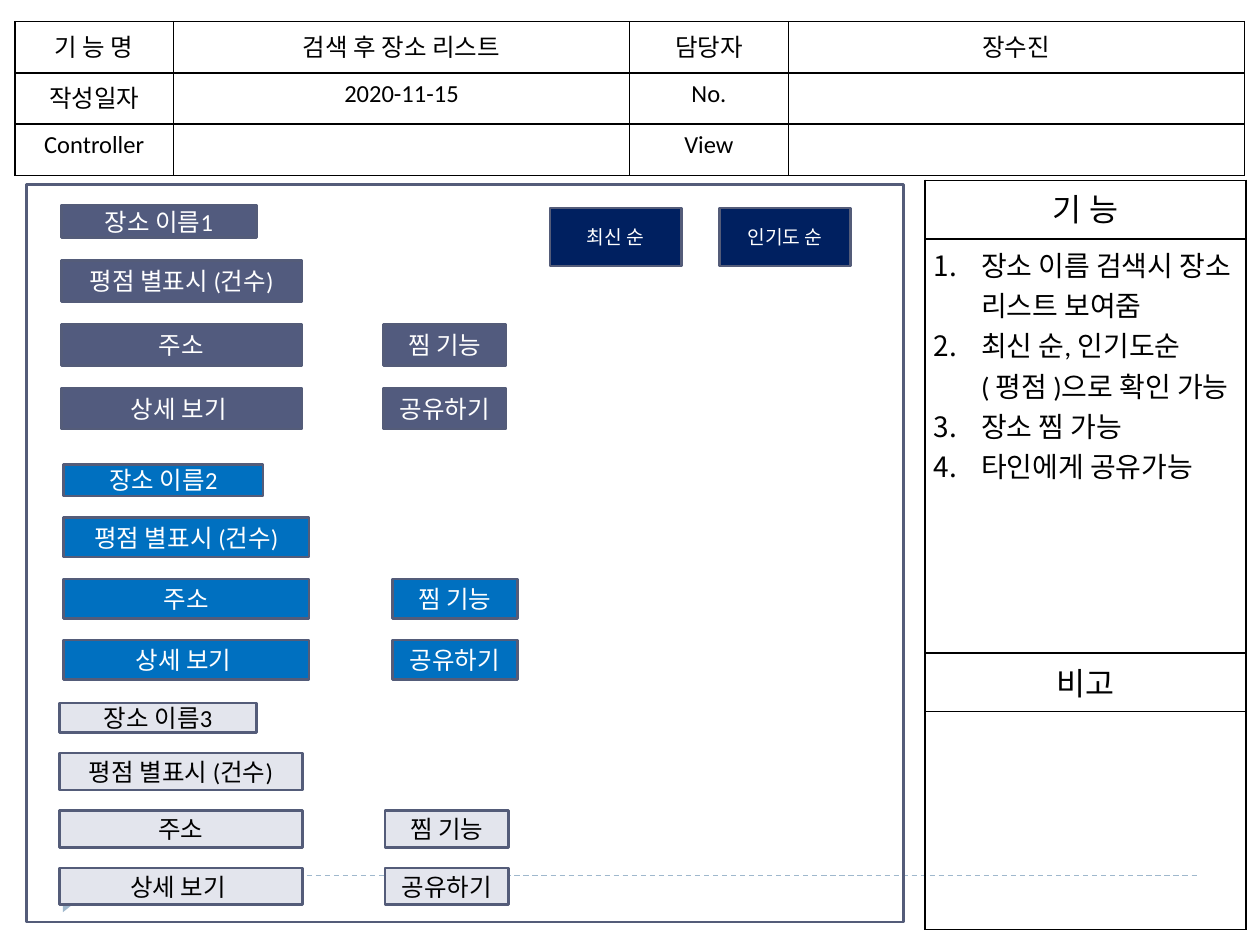
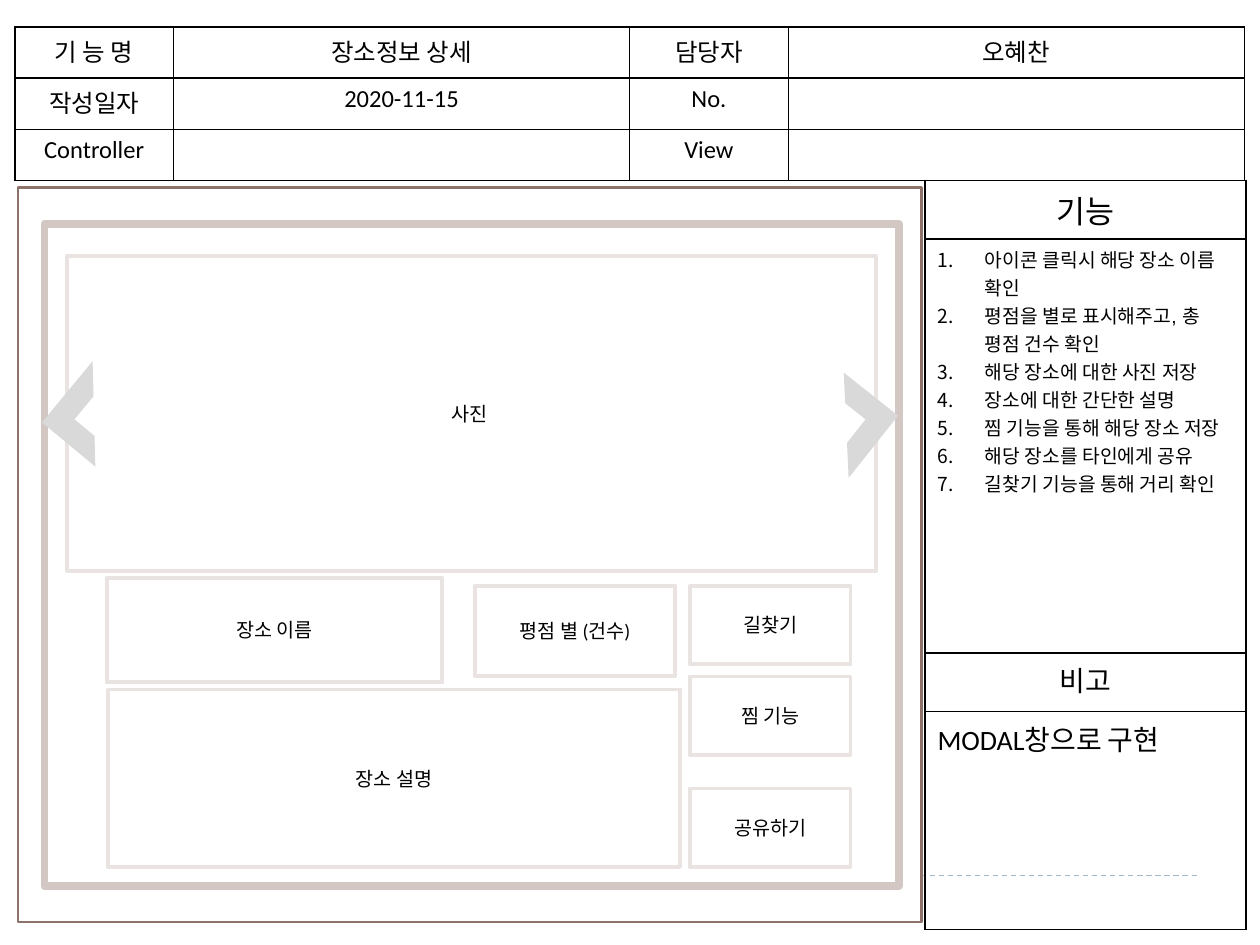
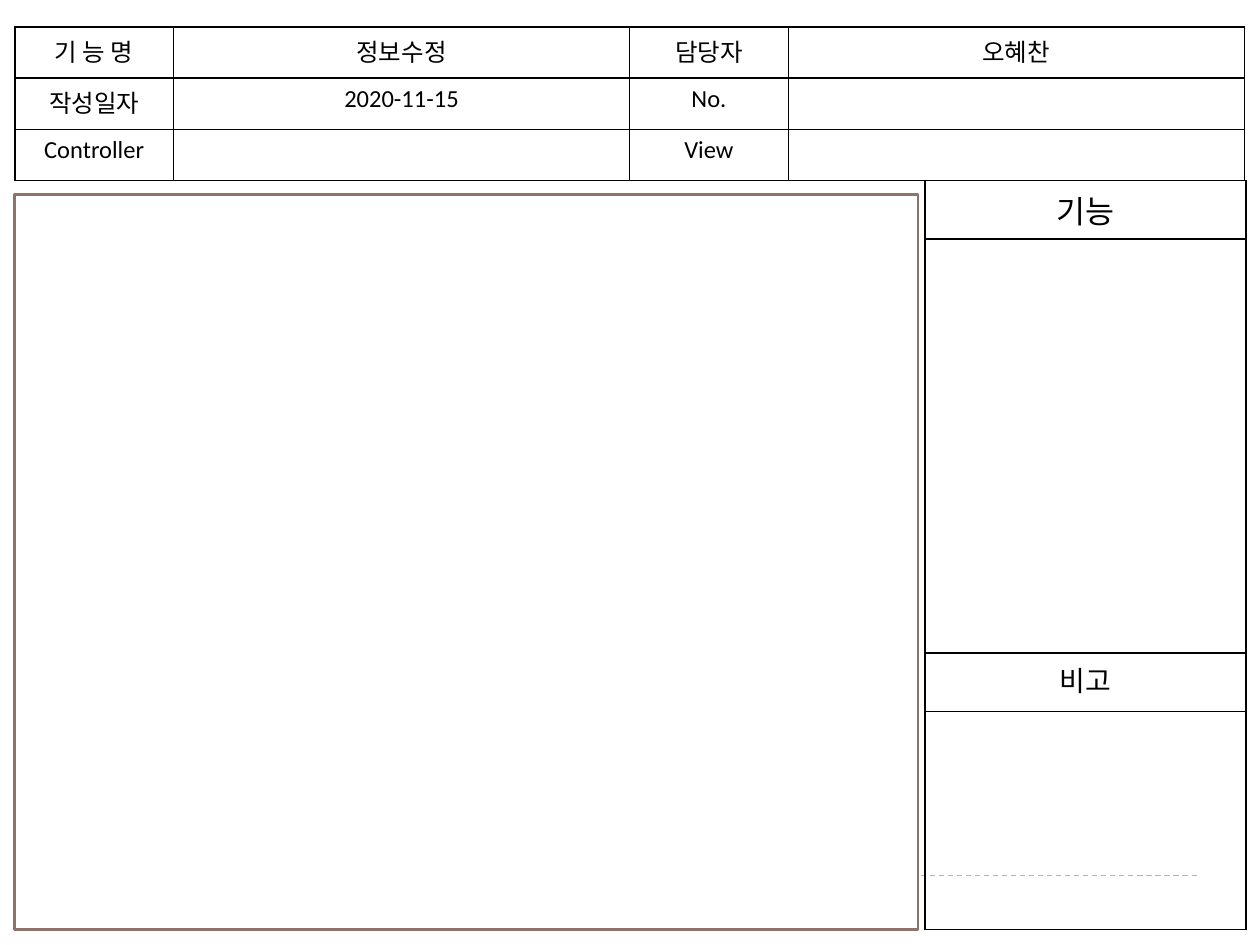
from pptx import Presentation
from pptx.dml.color import RGBColor
from pptx.enum import dml, shapes, text
from pptx.oxml import parse_xml
from pptx.oxml.ns import nsdecls
from pptx.util import Pt

COLORS = {
    "black": "000000", "white": "FFFFFF", "guide": "9FB8CD",
    "slate": "525B7E", "slate_line": "545C79", "blue": "0070C0",
    "pale": "E3E5ED", "navy": "002060", "brown": "8E736A",
    "modal": "D2C7C3", "box": "E9E3E1", "arrow": "D9D9D9",
}
RECTANGLE = shapes.MSO_SHAPE.RECTANGLE
HEADER_COLUMNS = (90.7, 260.6, 90.7, 260.6)
HEADER_ROWS = (29.3,) * 3
SIDE_ROWS = (33.5, 236.7, 33.4, 124.5)


def rgb(name):
    return RGBColor.from_string(COLORS[name])


def write(frame, *lines, size=14, color="black", font="Calibri", center=True, numbered=False):
    """Write one paragraph per line, optionally as a numbered list."""
    for index, line in enumerate(lines):
        paragraph = frame.add_paragraph() if index else frame.paragraphs[0]
        paragraph.alignment = text.PP_ALIGN.CENTER if center else text.PP_ALIGN.LEFT
        if numbered:
            properties = paragraph._p.get_or_add_pPr()
            properties.set("marL", str(Pt(27)))
            properties.set("indent", str(-Pt(27)))
            properties.append(parse_xml(f'<a:buAutoNum {nsdecls("a")} type="arabicPeriod"/>'))
        run = paragraph.add_run()
        run.text = line
        run.font.size = Pt(size)
        run.font.name = font
        run.font.bold = False
        run.font.color.rgb = rgb(color)


def add_box(slide, left, top, width, height, label="", fill=None, line=None, weight=1.5,
            kind=RECTANGLE, rotation=0, **text_format):
    shape = slide.shapes.add_shape(kind, Pt(left), Pt(top), Pt(width), Pt(height))
    shape.shadow.inherit = False
    shape.rotation = rotation
    if fill:
        shape.fill.solid()
        shape.fill.fore_color.rgb = rgb(fill)
    else:
        shape.fill.background()
    if line:
        shape.line.color.rgb = rgb(line)
        shape.line.width = Pt(weight)
    else:
        shape.line.fill.background()
    if label:
        shape.text_frame.vertical_anchor = text.MSO_ANCHOR.MIDDLE
        write(shape.text_frame, label, **text_format)


def add_guide(slide):
    """Dashed footer line behind the content."""
    guide = slide.shapes.add_connector(
        shapes.MSO_CONNECTOR.STRAIGHT, Pt(36), Pt(500.4), Pt(684), Pt(500.4))
    guide.line.color.rgb = rgb("guide")
    guide.line.width = Pt(0.75)
    guide.line.dash_style = dml.MSO_LINE.DASH
    guide._element.spPr.append(parse_xml(f'<a:effectLst {nsdecls("a")}/>'))


def add_grid(slide, left, top, columns, rows):
    """Plain table with thin black borders and no fill."""
    table = slide.shapes.add_table(
        len(rows), len(columns), Pt(left), Pt(top), Pt(sum(columns)), Pt(sum(rows))).table
    table.first_row = table.horz_banding = False
    for column, width in zip(table.columns, columns):
        column.width = Pt(width)
    for row, height in zip(table.rows, rows):
        row.height = Pt(height)
    for cell in table.iter_cells():
        properties = cell._tc.get_or_add_tcPr()
        for side in "LRTB":
            properties.append(parse_xml(
                f'<a:ln{side} {nsdecls("a")} w="{Pt(1)}"><a:solidFill>'
                f'<a:srgbClr val="{COLORS["black"]}"/></a:solidFill></a:ln{side}>'))
        cell.fill.background()
    return table


def add_header(slide, feature, author, top=15.3):
    table = add_grid(slide, 8.5, top, HEADER_COLUMNS, HEADER_ROWS)
    values = ("기 능 명", feature, "담당자", author,
              "작성일자", "2020-11-15", "No.", "",
              "Controller", "", "View", "")
    for cell, value in zip(table.iter_cells(), values):
        if value:
            write(cell.text_frame, value)


def add_side_panel(slide, title="기능", features=(), note="", note_title_size=16,
                   size=11, font="Arial", margins=None):
    table = add_grid(slide, 528.6, 103, (183.4,), SIDE_ROWS)
    title_cell, feature_cell, note_title_cell, note_cell = table.iter_cells()
    if margins:
        for cell in (title_cell, feature_cell):
            cell.margin_left = cell.margin_right = Pt(margins[0])
            cell.margin_top = cell.margin_bottom = Pt(margins[1])
    write(title_cell.text_frame, title, size=18)
    write(feature_cell.text_frame, *features, size=size, font=font, center=False, numbered=True)
    write(note_title_cell.text_frame, "비고", size=note_title_size)
    if note:
        write(note_cell.text_frame, note, size=16, center=False)


def add_place_card(slide, number, left, top, scale_x, scale_y, fill, color):
    """Place entry: name, rating, and two rows with a button each."""
    items = (
        (f"장소 이름{number}", 0, 0, 111.6, 18.7),
        ("평점 별표시 (건수)", 0, 31.7, 137.5, 23.4),
        ("주소", 0, 68.2, 137.5, 23.4),
        ("상세 보기 ", 0, 104.6, 137.5, 23.4),
        ("찜 기능", 184.2, 68.2, 70, 23.4),
        ("공유하기", 184.2, 104.6, 70, 23.4),
    )
    for label, x, y, width, height in items:
        add_box(slide, left + x * scale_x, top + y * scale_y, width * scale_x, height * scale_y,
                label, fill, "slate_line", color=color)


def build_list_slide(slide):
    add_guide(slide)
    add_box(slide, 33.1, 509, 15.1, 9.4, fill="guide", rotation=90,
            kind=shapes.MSO_SHAPE.ISOSCELES_TRIANGLE)
    add_header(slide, "검색 후 장소 리스트", "장수진", top=12.4)
    add_side_panel(slide, "기 능", (
        "장소 이름 검색시 장소 리스트 보여줌",
        "최신 순, 인기도순 ( 평점 )으로 확인 가능",
        "장소 찜 가능",
        "타인에게 공유가능",
    ), note_title_size=18, size=16, font="Calibri", margins=(5, 2.9))
    add_box(slide, 15.1, 105.6, 501.2, 421.2, line="slate_line")
    # Sort buttons
    for label, left in (("최신 순", 314.4), ("인기도 순", 411.1)):
        add_box(slide, left, 118.9, 75, 33.1, label, "navy", "slate_line", size=11, color="white")
    # Search results
    add_place_card(slide, 1, 35, 117.2, 1, 1, "slate", "white")
    add_place_card(slide, 2, 36.4, 265.4, 1.02, 0.96, "blue", "white")
    add_place_card(slide, 3, 34, 401.8, 1.01, 0.9, "pale", "black")


def build_detail_slide(slide):
    add_guide(slide)
    add_header(slide, "장소정보 상세", "오혜찬")
    add_side_panel(slide, features=(
        "아이콘 클릭시 해당 장소 이름 확인",
        "평점을 별로 표시해주고, 총 평점 건수 확인",
        "해당 장소에 대한 사진 저장",
        "장소에 대한 간단한 설명",
        "찜 기능을 통해 해당 장소 저장",
        "해당 장소를 타인에게 공유",
        "길찾기 기능을 통해 거리 확인",
    ), note="MODAL창으로 구현")
    # Window and modal frames
    add_box(slide, 10.3, 107, 516.2, 419.8, fill="white", line="brown")
    add_box(slide, 25.4, 128, 488.2, 378.3, line="modal", weight=4.5)
    # Modal content
    for label, left, top, width, height in (
        ("장소 이름", 61, 330.2, 191.8, 59.8),
        ("평점 별 (건수)", 271.4, 334.7, 114.5, 51.5),
        ("사진 ", 38.2, 146.3, 462.6, 180),
        ("찜 기능", 394.2, 386.6, 91.8, 44.8),
        ("공유하기", 394.2, 450.6, 91.8, 44.8),
        ("길찾기", 394.2, 334.8, 91.8, 44.8),
        ("장소 설명", 61.7, 394, 326.9, 101.4),
    ):
        add_box(slide, left, top, width, height, label, line="box", weight=2.25, size=11.2)
    # Photo arrows
    for left, top, rotation in ((31, 216.7, 309.6), (460.8, 223.2, 128.4)):
        add_box(slide, left, top, 45.4, 39.6, fill="arrow", rotation=rotation,
                kind=shapes.MSO_SHAPE.HALF_FRAME)


def build_edit_slide(slide):
    add_guide(slide)
    add_header(slide, "정보수정", "오혜찬")
    add_side_panel(slide)
    add_box(slide, 8.4, 111.3, 516.2, 419.8, fill="white", line="brown")


def main():
    presentation = Presentation()
    presentation.slide_width = Pt(720)
    presentation.slide_height = Pt(540)
    blank_layout = presentation.slide_layouts[6]
    for build in (build_list_slide, build_detail_slide, build_edit_slide):
        build(presentation.slides.add_slide(blank_layout))
    presentation.save("out.pptx")


if __name__ == "__main__":
    main()
